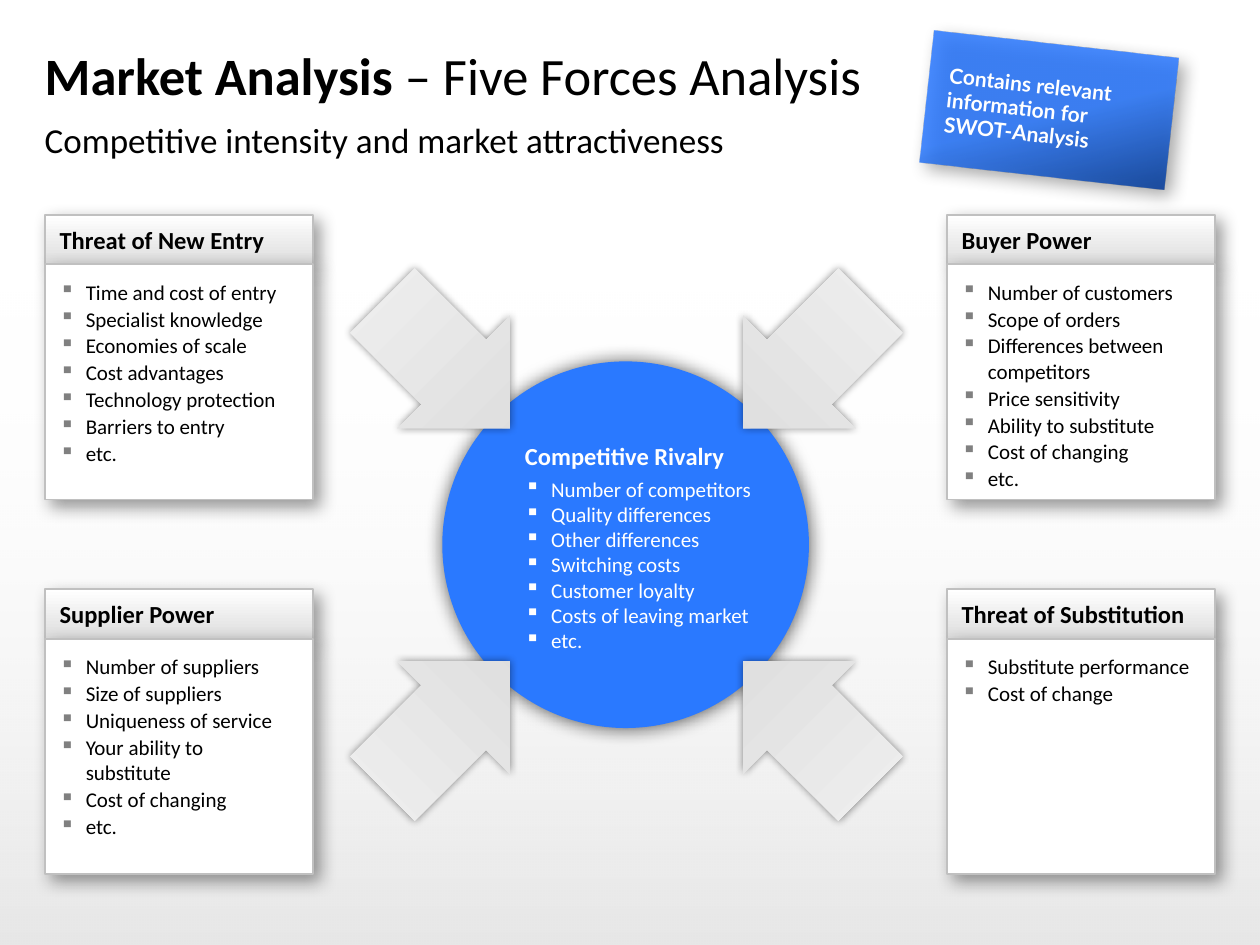
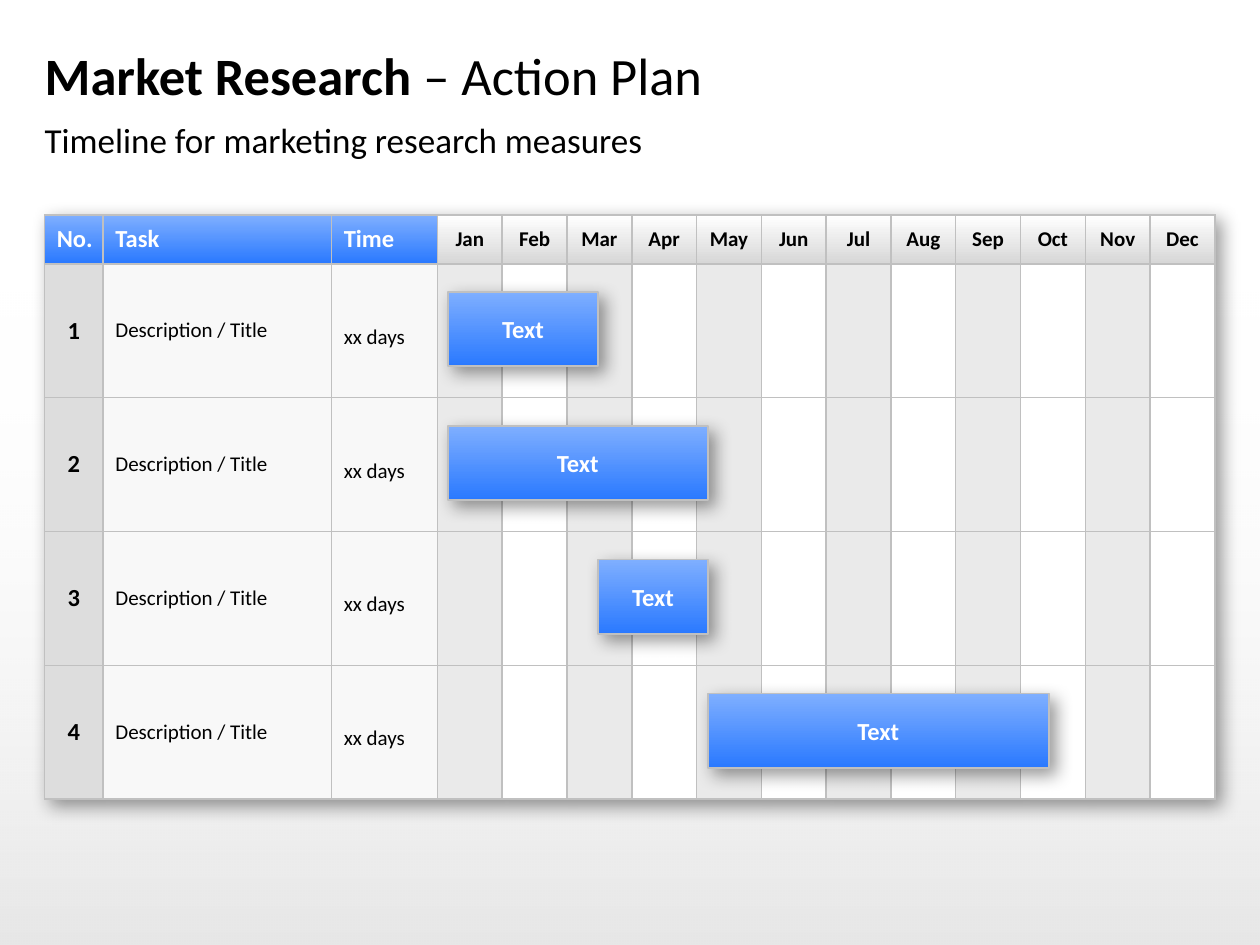
from lxml import etree
from pptx import Presentation
from pptx.dml.color import RGBColor
from pptx.enum.shapes import MSO_SHAPE
from pptx.enum.text import MSO_ANCHOR, MSO_AUTO_SIZE, PP_ALIGN
from pptx.oxml.ns import qn
from pptx.util import Pt

RECT, OVAL, ARROW = MSO_SHAPE.RECTANGLE, MSO_SHAPE.OVAL, MSO_SHAPE.RIGHT_ARROW
TOP, MIDDLE = MSO_ANCHOR.TOP, MSO_ANCHOR.MIDDLE
LEFT, CENTER = PP_ALIGN.LEFT, PP_ALIGN.CENTER

BLACK = RGBColor(0x00, 0x00, 0x00)
WHITE = RGBColor(0xFF, 0xFF, 0xFF)
BLUE = RGBColor(0x2A, 0x79, 0xFF)
LIGHT_BLUE = RGBColor(0x7F, 0xAF, 0xFF)
NAVY = RGBColor(0x00, 0x37, 0x94)
BORDER = RGBColor(0xC0, 0xC0, 0xC0)
BULLET_GRAY = RGBColor(0x80, 0x80, 0x80)
SILVER = RGBColor(0xDD, 0xDD, 0xDD)
MONTH_GRAY = RGBColor(0xD7, 0xD7, 0xD7)
ARROW_LIGHT = RGBColor(0xF2, 0xF2, 0xF2)
ARROW_DARK = RGBColor(0xD9, 0xD9, 0xD9)
PALE = RGBColor(0xF8, 0xF8, 0xF8)
STRIPE = RGBColor(0xEA, 0xEA, 0xEA)

# Gradients: angle, then (position %, colour, opacity %)
BACKDROP = (270, (0, BLACK, 10), (100, WHITE, 0))
PANEL_HEAD = (90, (0, WHITE, 100), (100, SILVER, 100))
MONTH_HEAD = (90, (0, WHITE, 100), (100, MONTH_GRAY, 100))
BLUE_FADE = (90, (0, LIGHT_BLUE, 100), (100, BLUE, 100))
ARROW_FADE = (0, (0, ARROW_LIGHT, 100), (100, ARROW_DARK, 100))
NOTE_FADE = (70, (0, BLUE, 85), (53, BLUE, 85), (100, NAVY, 85))

# Shadows: opacity %, blur, distance, angle
DROP = (40, 10, 5, 45)
CIRCLE_GLOW = (66, 11, 0, 0)
ARROW_GLOW = (47, 5, 0, 0)

# Content
FORCES_TITLE = ("Market Analysis ", "– Five Forces Analysis",
                "Competitive intensity and market attractiveness")
PLAN_TITLE = ("Market Research ", "– Action Plan",
              "Timeline for marketing research measures")
NOTE = "Contains relevant information for\vSWOT-Analysis"

# (column, row, heading, points)
FORCES = [
    (0, 0, "Threat of New Entry",
     ["Time and cost of entry", "Specialist knowledge", "Economies of scale",
      "Cost advantages", "Technology protection", "Barriers to entry", "etc."]),
    (1, 0, "Buyer Power",
     ["Number of customers", "Scope of orders", "Differences between competitors",
      "Price sensitivity", "Ability to substitute", "Cost of changing", "etc."]),
    (0, 1, "Supplier Power",
     ["Number of suppliers", "Size of suppliers", "Uniqueness of service",
      "Your ability to substitute", "Cost of changing", "etc."]),
    (1, 1, "Threat of Substitution",
     ["Substitute performance", "Cost of change"]),
]
RIVALRY = ("Competitive Rivalry",
           ["Number of competitors", "Quality differences", "Other differences",
            "Switching costs", "Customer loyalty", "Costs of leaving market", "etc."])

COLUMNS = ["No.", "Task", "Time"]
MONTHS = "Jan Feb Mar Apr May Jun Jul Aug Sep Oct Nov Dec".split()
# (task, time, bar label, bar start and end in months)
TASKS = [
    ("Description / Title", "xx days", "Text", 0.16, 2.48),
    ("Description / Title", "xx days", "Text", 0.16, 4.17),
    ("Description / Title", "xx days", "Text", 2.48, 4.17),
    ("Description / Title", "xx days", "Text", 4.17, 9.43),
]

# Layout in points
MARGIN, CONTENT_TOP, CONTENT_WIDTH = 25.5, 122.75, 669


def add_node(parent, tag, **attributes):
    node = etree.SubElement(parent, qn(tag))
    for name, value in attributes.items():
        node.set(name, str(value))
    return node


def add_color(parent, color, opacity=100):
    node = add_node(parent, "a:srgbClr", val=color)
    if opacity < 100:
        add_node(node, "a:alpha", val=opacity * 1000)


def paint(item, holder, fill):
    """Fill a shape or cell; holder is the XML element that keeps the fill."""
    if isinstance(fill, RGBColor):
        item.fill.solid()
        item.fill.fore_color.rgb = fill
        return
    angle, *stops = fill
    item.fill.gradient()
    gradient = holder.find(qn("a:gradFill"))
    stop_list = gradient.find(qn("a:gsLst"))
    for stop in list(stop_list):
        stop_list.remove(stop)
    for position, color, opacity in stops:
        add_color(add_node(stop_list, "a:gs", pos=position * 1000), color, opacity)
    line = gradient.find(qn("a:lin"))
    line.set("ang", str(angle * 60000))
    line.set("scaled", "0")


def add_shadow(effects, opacity, blur, distance, angle):
    shadow = add_node(effects, "a:outerShdw", blurRad=Pt(blur), dist=Pt(distance),
                      dir=angle * 60000, algn="ctr", rotWithShape=0)
    add_color(shadow, BLACK, opacity)


def add_box(page, kind, place, fill, border=None, shadow=None):
    box = page.shapes.add_shape(kind, *map(Pt, place))
    properties = box._element.spPr
    paint(box, properties, fill)
    if border:
        box.line.color.rgb = border
        box.line.width = Pt(1)
    else:
        box.line.fill.background()
    box.shadow.inherit = False
    if shadow:
        add_shadow(properties.find(qn("a:effectLst")), *shadow)
    return box


def set_margins(holder, margins, anchor):
    for side, value in zip(("left", "top", "right", "bottom"), margins):
        setattr(holder, "margin_" + side, Pt(value))
    holder.vertical_anchor = anchor


def set_frame(box, margins, anchor=TOP):
    frame = box.text_frame
    frame.word_wrap = True
    frame.auto_size = MSO_AUTO_SIZE.NONE
    set_margins(frame, margins, anchor)
    return frame


def format_spans(spans, size, color, bold=False, font="Calibri"):
    for span in spans:
        for name, value in {"name": font, "size": Pt(size), "bold": bold}.items():
            setattr(span.font, name, value)
        span.font.color.rgb = color


def write(para, text, size, color=BLACK, bold=False, font="Calibri", **layout):
    para.text = text
    layout = {"alignment": LEFT, "space_before": Pt(0), **layout}
    for name, value in layout.items():
        setattr(para, name, value)
    format_spans(para.runs, size, color, bold, font)


def set_bullet(para, color):
    properties = para._p.get_or_add_pPr()
    properties.set("marL", str(Pt(15)))
    properties.set("indent", str(Pt(-15)))
    add_color(add_node(properties, "a:buClr"), color)
    add_node(properties, "a:buChar", char="▪")


def write_points(frame, points, color, bullet_color, gap, started=False):
    for index, point in enumerate(points):
        para = frame.add_paragraph() if index or started else frame.paragraphs[0]
        set_bullet(para, bullet_color)
        write(para, point, 12, color, space_after=Pt(gap))


def place_box(box, *place):
    for name, value in zip(("left", "top", "width", "height"), place):
        setattr(box, name, Pt(value))


def add_page(deck, strong, plain, subtitle):
    page = deck.slides.add_slide(deck.slide_layouts[1])
    title, body = page.placeholders[0], page.placeholders[1]
    # Backdrop goes behind the placeholders
    backdrop = add_box(page, RECT, (0, 159, 720, 381), BACKDROP)
    page.shapes._spTree.insert(2, backdrop._element)

    place_box(title, MARGIN, 18.75, CONTENT_WIDTH, 48.25)
    para = set_frame(title, (0, 0, 0, 0), MIDDLE).paragraphs[0]
    write(para, strong, 30, bold=True)
    para.add_run().text = plain
    format_spans(para.runs[1:], 30, BLACK)

    place_box(body, MARGIN, 67.75, CONTENT_WIDTH, 26.5)
    para = set_frame(body, (0, 0, 0, 0)).paragraphs[0]
    properties = para._p.get_or_add_pPr()
    properties.set("marL", "0")
    properties.set("indent", "0")
    add_node(properties, "a:buNone")
    write(para, subtitle, 20)
    return page


def build_forces(deck):
    page = add_page(deck, *FORCES_TITLE)

    # Four corner panels
    panel_width, head_height, body_height, row_step = 153.5, 28.25, 134.5, 214
    for column, row, heading, points in FORCES:
        left = MARGIN + column * (CONTENT_WIDTH - panel_width)
        top = CONTENT_TOP + row * row_step
        head = add_box(page, RECT, (left, top, panel_width, head_height),
                       PANEL_HEAD, BORDER, DROP)
        frame = set_frame(head, (8.5, 5.5, 8.5, 5.5), MIDDLE)
        write(frame.paragraphs[0], heading, 14, bold=True)
        body = add_box(page, RECT, (left, top + head_height, panel_width, body_height),
                       WHITE, BORDER, DROP)
        write_points(set_frame(body, (8.5, 8.5, 11.5, 5.5)), points,
                     BLACK, BULLET_GRAY, 1)

    # Central circle
    center_x, center_y, diameter = 357.5, 311.25, 209.5
    add_box(page, OVAL, (center_x - diameter / 2, center_y - diameter / 2,
                         diameter, diameter), BLUE, shadow=CIRCLE_GLOW)
    rivalry = page.shapes.add_textbox(*map(Pt, (291.5, 245.5, 155, 140.5)))
    frame = set_frame(rivalry, (8.5, 8.5, 11.5, 5.5))
    heading, points = RIVALRY
    write(frame.paragraphs[0], heading, 14, WHITE, True,
          line_spacing=0.9, space_after=Pt(3))
    write_points(frame, points, WHITE, WHITE, 0, started=True)

    # Arrows pointing at the circle, clockwise from top left
    arrow_width, arrow_height, reach = 103, 90.75, 103
    for turn, (side_x, side_y) in enumerate([(-1, -1), (1, -1), (1, 1), (-1, 1)]):
        left = center_x + 0.5 + side_x * reach - arrow_width / 2
        top = center_y + side_y * reach - arrow_height / 2
        arrow = add_box(page, ARROW, (left, top, arrow_width, arrow_height),
                        ARROW_FADE, shadow=ARROW_GLOW)
        arrow.adjustments[0], arrow.adjustments[1] = 0.574, 0.5
        arrow.rotation = 45 + 90 * turn

    # Tilted note
    note = add_box(page, RECT, (529.25, 25.25, 140.5, 75.5), NOTE_FADE, shadow=DROP)
    note.rotation = 6.4
    write(set_frame(note, (11.5, 17.25, 5.75, 3.5)).paragraphs[0], NOTE, 12, WHITE,
          True, "Lato", line_spacing=Pt(14), space_after=Pt(6))


def fill_cell(cell, fill, margins, text="", size=12, **style):
    properties = cell._tc.get_or_add_tcPr()
    set_margins(cell, margins, MIDDLE)
    paint(cell, properties, fill)
    for index, side in enumerate(("a:lnL", "a:lnR", "a:lnT", "a:lnB")):
        line = add_node(properties, side, w=Pt(1))
        add_color(add_node(line, "a:solidFill"), BORDER)
        properties.insert(index, line)
    if text:
        write(cell.text_frame.paragraphs[0], text, size, **style)


def build_plan(deck):
    page = add_page(deck, *PLAN_TITLE)
    widths = [33.5, 130.5, 60.5] + [37.04] * len(MONTHS)
    head_height, row_height = 28, 76.5
    heights = [head_height] + [row_height] * len(TASKS)

    # Plan table
    table = page.shapes.add_table(len(heights), len(widths), *map(
        Pt, (MARGIN, CONTENT_TOP, sum(widths), sum(heights)))).table
    table.first_row = table.horz_banding = False
    effects = add_node(table._tbl.tblPr, "a:effectLst")
    add_shadow(effects, *DROP)
    table._tbl.tblPr.insert(0, effects)
    for column, width in zip(table.columns, widths):
        column.width = Pt(width)
    for row, height in zip(table.rows, heights):
        row.height = Pt(height)

    for index, name in enumerate(COLUMNS):
        fill_cell(table.cell(0, index), BLUE_FADE, (7, 3.5, 3, 3.5), name, 14,
                  color=WHITE, bold=True)
    for index, month in enumerate(MONTHS, len(COLUMNS)):
        fill_cell(table.cell(0, index), MONTH_HEAD, (0, 3.5, 0, 3.5), month,
                  bold=True, alignment=CENTER)
    for number, (task, time, *_) in enumerate(TASKS, 1):
        fill_cell(table.cell(number, 0), SILVER, (0, 5.75, 0, 5.75), str(number), 14,
                  bold=True, alignment=CENTER)
        fill_cell(table.cell(number, 1), PALE, (7, 1.5, 1.5, 1.5), task)
        fill_cell(table.cell(number, 2), PALE, (7, 3, 7, 3), time,
                  line_spacing=1.5, space_after=Pt(2))
        for index in range(len(MONTHS)):
            fill_cell(table.cell(number, len(COLUMNS) + index),
                      WHITE if index % 2 else STRIPE, (0, 3.5, 0, 3.5))

    # Time bars
    month_width, bar_height = widths[-1], 42.5
    first_month = MARGIN + sum(widths[:len(COLUMNS)])
    for index, (_, _, label, start, end) in enumerate(TASKS):
        top = CONTENT_TOP + head_height + index * row_height + 16
        bar = add_box(page, RECT, (first_month + start * month_width, top,
                                   (end - start) * month_width, bar_height),
                      BLUE_FADE, BORDER, DROP)
        write(set_frame(bar, (0, 0, 0, 0), MIDDLE).paragraphs[0], label, 14,
              WHITE, True, alignment=CENTER)


def main():
    deck = Presentation()
    deck.slide_width, deck.slide_height = Pt(720), Pt(540)
    build_forces(deck)
    build_plan(deck)
    deck.save("out.pptx")


if __name__ == "__main__":
    main()
